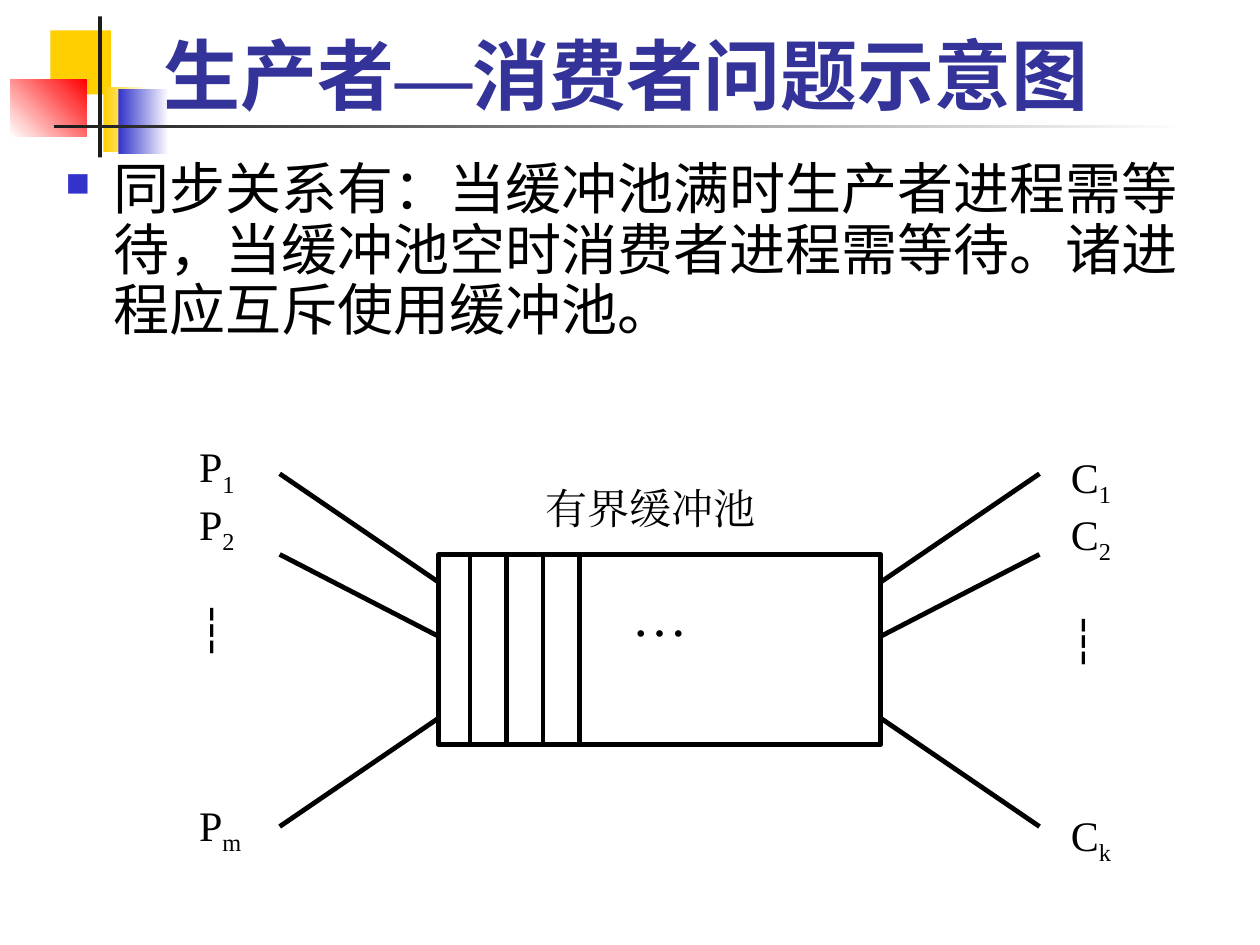
import pptx
import pptx.dml.color
import pptx.enum.shapes
import pptx.enum.text
import pptx.oxml
import pptx.oxml.ns
import pptx.util
from dataclasses import dataclass
from pptx.util import Inches


@dataclass(frozen=True)
class Theme:
    heading_font: str = "Roboto"
    diagram_font: str = "Times New Roman"
    title: str = "333399"
    ink: str = "000000"
    paper: str = "FFFFFF"
    yellow: str = "FFCF01"
    blue: str = "3333CC"
    red: str = "FF0000"
    rule: str = "1C1C1C"
    title_size: int = 44
    body_size: int = 32
    label_size: int = 24
    line_width: float = 2.75


theme = Theme()
rgb = pptx.dml.color.RGBColor.from_string
qn = pptx.oxml.ns.qn
Align = pptx.enum.text.PP_ALIGN
Anchor = pptx.enum.text.MSO_ANCHOR
RECTANGLE = pptx.enum.shapes.MSO_SHAPE.RECTANGLE
STRAIGHT = pptx.enum.shapes.MSO_CONNECTOR.STRAIGHT


def add_run(paragraph, text, font, size, color, bold=False, baseline=None):
    run = paragraph.add_run()
    run.text = text
    for name, value in {"name": font, "size": pptx.util.Pt(size), "bold": bold}.items():
        setattr(run.font, name, value)
    run.font.color.rgb = rgb(color)
    properties = run.font._element
    latin = properties.find(qn("a:latin"))
    east_asian = properties.makeelement(qn("a:ea"), {"typeface": font})
    latin.addnext(east_asian)
    if baseline:
        properties.set("baseline", str(baseline))


def set_frame(frame, anchor=Anchor.TOP, margin=None):
    settings = {"word_wrap": True, "vertical_anchor": anchor,
                "auto_size": pptx.enum.text.MSO_AUTO_SIZE.NONE}
    if margin is not None:
        for side in ("left", "top", "right", "bottom"):
            settings[f"margin_{side}"] = Inches(margin)
    for name, value in settings.items():
        setattr(frame, name, value)
    return frame.paragraphs[0]


presentation = pptx.Presentation()
presentation.slide_width = Inches(10)
presentation.slide_height = Inches(7.5)
slide = presentation.slides.add_slide(presentation.slide_layouts[5])
shapes = slide.shapes

# Corner ornament and title rule: box, colours from start to end, gradient angle
ornaments = [
    ((0.4, 0.24, 0.48, 0.51), (theme.yellow,), 0),
    ((0.82, 0.69, 0.36, 0.52), (theme.yellow, theme.paper), 0),
    ((0.94, 0.71, 0.4, 0.51), (theme.blue, theme.paper), 0),
    ((0.08, 0.63, 0.61, 0.45), (theme.paper, theme.red), 45),
    ((0.78, 0.13, 0.03, 1.12), (theme.rule,), 0),
    ((0.43, 0.99, 9, 0.03), (theme.rule, theme.paper), 0),
]
for box, colors, angle in ornaments:
    shape = shapes.add_shape(RECTANGLE, *map(Inches, box))
    shape.shadow.inherit = False
    shape.line.fill.background()
    if len(colors) == 1:
        shape.fill.solid()
        shape.fill.fore_color.rgb = rgb(colors[0])
    else:
        shape.fill.gradient()
        shape.fill.gradient_angle = angle
        for stop, color in zip(shape.fill.gradient_stops, colors):
            stop.color.rgb = rgb(color)

# Title, in front of the ornament
title = shapes.title
title._element.getparent().append(title._element)
title.left, title.top, title.width, title.height = map(Inches, (1.2, 0.17, 8.52, 0.83))
paragraph = set_frame(title.text_frame, Anchor.BOTTOM)
paragraph.alignment = Align.LEFT
for text, font in [("生产者", theme.heading_font), ("—", theme.diagram_font),
                   ("消费者问题示意图", theme.heading_font)]:
    add_run(paragraph, text, font, theme.title_size, theme.title, bold=True)

# Bulleted statement
body = shapes.add_textbox(*map(Inches, (0.42, 1.23, 9.38, 1.58)))
paragraph = set_frame(body.text_frame)
paragraph.line_spacing = 0.9
properties = paragraph._p.get_or_add_pPr()
properties.set("marL", str(Inches(0.38)))
properties.set("indent", str(Inches(-0.38)))
namespace = pptx.oxml.ns.nsdecls("a")
for bullet in (f'<a:buClr {namespace}><a:srgbClr val="{theme.blue}"/></a:buClr>',
               f'<a:buSzPct {namespace} val="60000"/>',
               f'<a:buChar {namespace} char="■"/>'):
    properties.append(pptx.oxml.parse_xml(bullet))
add_run(paragraph, "同步关系有：当缓冲池满时生产者进程需等待，当缓冲池空时消费者进程需等待。诸进程应互斥使用缓冲池。",
        theme.heading_font, theme.body_size, theme.ink)

# Buffer pool
pool_left, pool_top, pool_width, pool_height = 3.48, 4.4, 3.51, 1.51
pool_right, pool_bottom = pool_left + pool_width, pool_top + pool_height
pool = shapes.add_shape(RECTANGLE, *map(Inches, (pool_left, pool_top, pool_width, pool_height)))
pool.shadow.inherit = False
pool.fill.solid()
pool.fill.fore_color.rgb = rgb(theme.paper)
pool.line.color.rgb = rgb(theme.ink)
pool.line.width = pptx.util.Pt(theme.line_width)
paragraph = set_frame(pool.text_frame)
pool.text_frame.margin_top = Inches(0.21)
paragraph.alignment = Align.CENTER
add_run(paragraph, "…", theme.diagram_font, theme.body_size, theme.ink)

# Slot dividers, then links from the producers and to the consumers
lines = []
for slot in range(4):
    x = 3.73 + 0.29 * slot
    lines.append((x, pool_top, x, pool_bottom))
for outer_y, pool_y in [(3.76, 4.62), (4.4, 5.05), (6.56, 5.7)]:
    lines.append((2.22, outer_y, pool_left, pool_y))
    lines.append((pool_right, pool_y, 8.25, outer_y))
for ends in lines:
    connector = shapes.add_connector(STRAIGHT, *map(Inches, ends))
    connector.line.color.rgb = rgb(theme.ink)
    connector.line.width = pptx.util.Pt(theme.line_width)
    connector._element.spPr.append(pptx.oxml.parse_xml(f"<a:effectLst {namespace}/>"))

# Producer and consumer labels: text, subscript, space before in points
for letter, last, left, top in [("P", "m", 1.58, 3.5), ("C", "k", 8.5, 3.58)]:
    column = shapes.add_textbox(*map(Inches, (left, top, 0.5, 3.3)))
    paragraph = set_frame(column.text_frame, margin=0)
    rows = [(letter, "1", 0), (letter, "2", 0), ("┆", "", 27.6), (letter, last, 82.8)]
    for index, (text, subscript, gap) in enumerate(rows):
        if index:
            paragraph = column.text_frame.add_paragraph()
            paragraph.space_before = pptx.util.Pt(gap)
        paragraph.alignment = Align.JUSTIFY
        add_run(paragraph, text, theme.diagram_font, theme.label_size, theme.ink)
        if subscript:
            add_run(paragraph, subscript, theme.diagram_font, theme.label_size,
                    theme.ink, baseline=-25000)

# Pool caption
caption = shapes.add_textbox(*map(Inches, (4.33, 3.83, 1.9, 0.5)))
paragraph = set_frame(caption.text_frame, margin=0)
paragraph.alignment = Align.JUSTIFY
add_run(paragraph, "有界缓冲池", theme.diagram_font, theme.label_size, theme.ink)

presentation.save("out.pptx")
